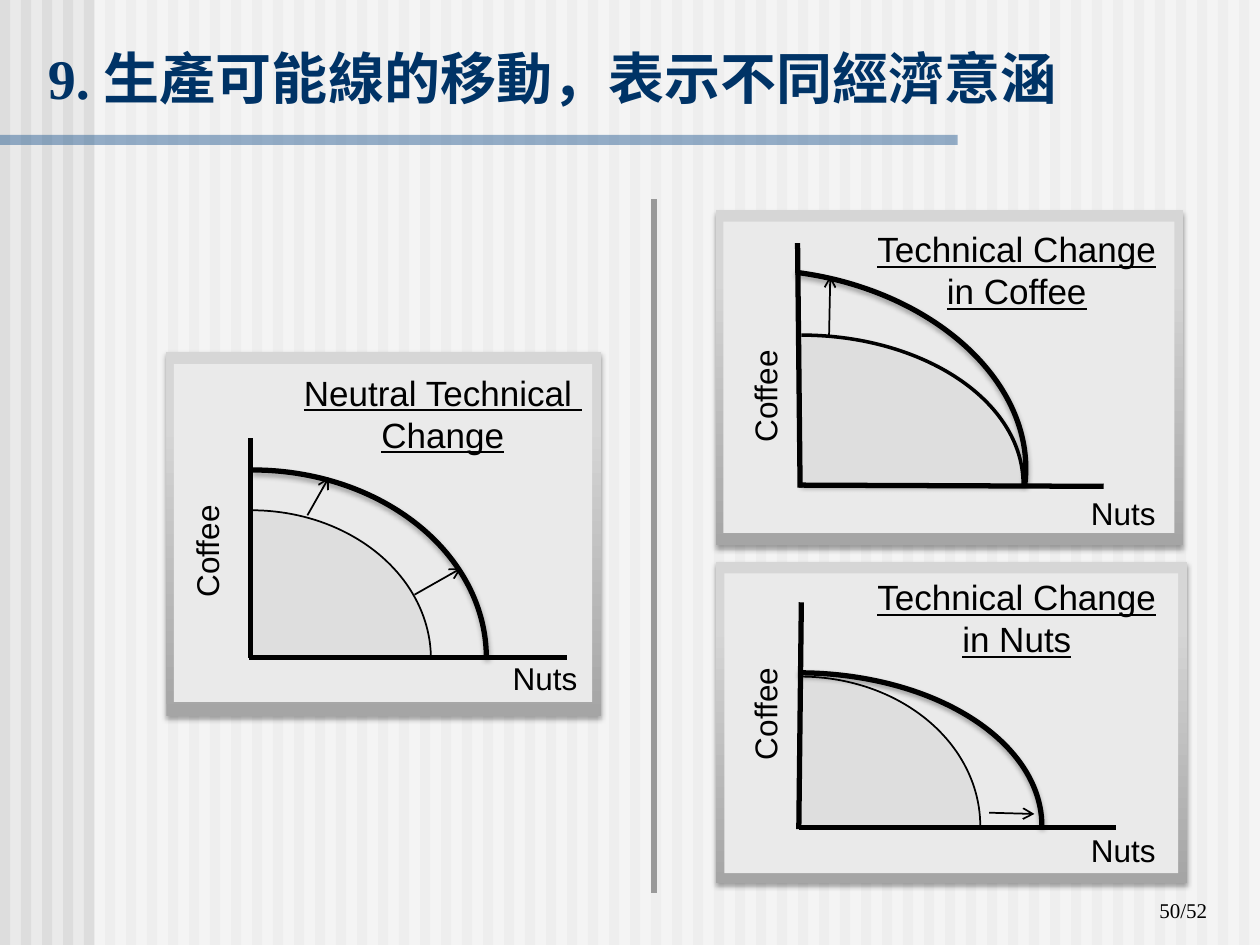
from lxml import etree
from pptx import Presentation
from pptx.dml.color import RGBColor
from pptx.enum.shapes import MSO_CONNECTOR, MSO_SHAPE
from pptx.enum.text import MSO_ANCHOR, MSO_AUTO_SIZE, PP_ALIGN
from pptx.oxml.ns import qn
from pptx.util import Inches, Pt

RECTANGLE, ARC = MSO_SHAPE.RECTANGLE, MSO_SHAPE.ARC
STRAIGHT = MSO_CONNECTOR.STRAIGHT
LEFT, CENTER, RIGHT = PP_ALIGN.LEFT, PP_ALIGN.CENTER, PP_ALIGN.RIGHT
TOP, BOTTOM = MSO_ANCHOR.TOP, MSO_ANCHOR.BOTTOM
GROW = MSO_AUTO_SIZE.SHAPE_TO_FIT_TEXT

THEME = {
    "background": "EAEAEA", "stripe": "DDDDDD", "veil": "FFFFFF",
    "rule": "336699", "title": "003366", "ink": "000000",
    "divider": "999999", "panel": "EAEAEA", "area": "DEDEDE",
    "frame": [(0, "A5A5A5"), (80, "D6D6D6"), (100, "D7D7D7")],
    "title_size": 32, "heading_size": 20, "label_size": 18, "page_size": 12,
    "serif": "Times New Roman", "sans": "Arial",
    "thick": 3, "thin": 1,
}

presentation = Presentation()
presentation.slide_width, presentation.slide_height = Inches(10), Inches(7.5)
COLUMN = presentation.slide_width / 100
ROW = presentation.slide_height / 75
GRID = (COLUMN, ROW, COLUMN, ROW)


def add_form(shapes, kind, box, fill=None, alpha=100, line=0, shadow=0, rotation=0):
    shape = shapes.add_shape(kind, *(round(n * unit) for n, unit in zip(box, GRID)))
    shape.rotation = rotation
    shape.shadow.inherit = False
    properties = shape._element.spPr
    if fill is None:
        shape.fill.background()
    elif isinstance(fill, list):
        shape.fill.gradient()
        shape.fill.gradient_angle = 90
        stops = properties.find(".//" + qn("a:gsLst"))
        for stop in list(stops):
            stops.remove(stop)
        for position, color in fill:
            stop = etree.SubElement(stops, qn("a:gs"), pos=str(position * 1000))
            etree.SubElement(stop, qn("a:srgbClr"), val=color)
    else:
        shape.fill.solid()
        shape.fill.fore_color.rgb = RGBColor.from_string(fill)
        if alpha < 100:
            color = properties.find(".//" + qn("a:srgbClr"))
            etree.SubElement(color, qn("a:alpha"), val=str(alpha * 1000))
    if line:
        shape.line.width = Pt(line)
        shape.line.color.rgb = RGBColor.from_string(THEME["ink"])
    else:
        shape.line.fill.background()
    if shadow:
        outer = etree.SubElement(
            properties.find(qn("a:effectLst")), qn("a:outerShdw"),
            blurRad=str(Pt(3.1)), dist=str(Pt(1.8)), dir="5400000", rotWithShape="0")
        color = etree.SubElement(outer, qn("a:srgbClr"), val=THEME["ink"])
        etree.SubElement(color, qn("a:alpha"), val=str(shadow * 1000))


def write(shape, box, lines, size, color="ink", font="sans", align=LEFT, anchor=TOP,
          wrap=True, bold=False, underline=False, rotation=0):
    shape.left, shape.top, shape.width, shape.height = (
        round(n * unit) for n, unit in zip(box, GRID))
    shape.rotation = rotation
    frame = shape.text_frame
    frame.word_wrap = wrap
    frame.auto_size = GROW
    frame.vertical_anchor = anchor
    paragraph = frame.paragraphs[0]
    paragraph.alignment = align
    for index, text in enumerate(lines):
        if index:
            paragraph.add_line_break()
        run = paragraph.add_run()
        run.text = text
        run.font.name = THEME[font]
        run.font.size = Pt(THEME[size])
        run.font.bold = bold
        run.font.underline = underline
        run.font.color.rgb = RGBColor.from_string(THEME[color])


slide = presentation.slides.add_slide(presentation.slide_layouts[5])
slide.background.fill.solid()
slide.background.fill.fore_color.rgb = RGBColor.from_string(THEME["background"])

backdrop = slide.shapes.add_group_shape().shapes
STRIPES = 60
for index in range(STRIPES):
    add_form(backdrop, RECTANGLE, (index * 100 / STRIPES, 0, 0.8, 75), THEME["stripe"])
add_form(backdrop, RECTANGLE, (7.5, 0, 92.5, 75), THEME["veil"], alpha=50)
add_form(backdrop, RECTANGLE, (0, 10.7, 76, 0.8), THEME["rule"], alpha=50)

title = slide.shapes.title
slide.shapes._spTree.append(title._element)
write(title, (2.8, 2.9, 85, 6.4), ["9. 生產可能線的移動，表示不同經濟意涵"], "title_size",
      "title", "serif", anchor=BOTTOM, bold=True)
write(slide.shapes.add_textbox(0, 0, 0, 0), (76, 68.7, 20.8, 5), ["50/52"], "page_size",
      font="serif", align=RIGHT, anchor=BOTTOM)

panels = [
    {
        "frame": (13.2, 27.9, 34.5, 28.9), "face": (13.8, 28.9, 33.2, 26.8),
        "inner": (5.7, 40.5, 28.5, 23.6), "inner_line": 1, "inner_shadow": 0,
        "outer": (1.5, 37.3, 37.1, 29.8), "tilt": 0,
        "heading": (23, 29, 24.3, 7.7), "lines": ["Neutral Technical ", "Change"],
        "wrap": False, "nuts": (39.7, 51.8, 7.4, 4), "coffee": (11.7, 41.7, 9.4, 4),
        "axes": [(19.8, 52.2, 45, 52.2), (19.9, 34.8, 19.9, 52.2)],
        "arrows": [(24.4, 40.9, 26.1, 37.9), (32.9, 47.2, 36.6, 45.1)],
    },
    {
        "frame": (56.8, 44.6, 37.4, 25.5), "face": (57.5, 45.5, 36, 23.8),
        "inner": (49.3, 53.7, 28.5, 23.7), "inner_line": 1, "inner_shadow": 0,
        "outer": (44.1, 53.4, 38.6, 24.3), "tilt": 0,
        "heading": (68.1, 45.2, 25.2, 7.7), "lines": ["Technical Change in Nuts"],
        "wrap": True, "nuts": (85.6, 65.5, 7.2, 4), "coffee": (56, 54.6, 9.4, 4),
        "axes": [(63.6, 47.8, 63.4, 65.8), (63.4, 65.7, 88.6, 65.7)],
        "arrows": [(78.5, 64.5, 82.1, 64.6)],
    },
    {
        "frame": (56.8, 16.7, 37.1, 26.6), "face": (57.4, 17.6, 35.8, 24.7),
        "inner": (46, 26.6, 35.2, 23.6), "inner_line": 2, "inner_shadow": 38,
        "outer": (41.2, 21.5, 40.3, 28.9), "tilt": 7.2,
        "heading": (68.1, 17.6, 25.2, 7.7), "lines": ["Technical Change in Coffee"],
        "wrap": True, "nuts": (85.6, 38.7, 7.2, 4), "coffee": (56, 29.4, 9.4, 4),
        "axes": [(63.3, 19.3, 63.5, 38.7), (63.4, 38.5, 87.6, 38.6)],
        "arrows": [(65.8, 26.6, 65.9, 21.9)],
    },
]

lines = [(slide.shapes, (51.9, 15.8, 51.9, 70.9), "divider", "thick", False)]
for panel in panels:
    shapes = slide.shapes.add_group_shape().shapes
    add_form(shapes, RECTANGLE, panel["frame"], THEME["frame"], shadow=35)
    add_form(shapes, RECTANGLE, panel["face"], THEME["panel"])
    add_form(shapes, ARC, panel["inner"], THEME["area"], line=panel["inner_line"],
             shadow=panel["inner_shadow"])
    add_form(shapes, ARC, panel["outer"], line=THEME["thick"], shadow=35,
             rotation=panel["tilt"])
    write(shapes.add_textbox(0, 0, 0, 0), panel["heading"], panel["lines"],
          "heading_size", align=CENTER, wrap=panel["wrap"], underline=True)
    write(shapes.add_textbox(0, 0, 0, 0), panel["nuts"], ["Nuts"], "label_size", wrap=False)
    write(shapes.add_textbox(0, 0, 0, 0), panel["coffee"], ["Coffee"], "label_size",
          wrap=False, rotation=270)
    lines += [(shapes, ends, "ink", "thin", True) for ends in panel["arrows"]]
    lines += [(shapes, ends, "ink", "thick", False) for ends in panel["axes"]]

for shapes, ends, color, weight, arrow in lines:
    connector = shapes.add_connector(
        STRAIGHT, *(round(n * unit) for n, unit in zip(ends, GRID)))
    connector.line.color.rgb = RGBColor.from_string(THEME[color])
    connector.line.width = Pt(THEME[weight])
    if arrow:
        etree.SubElement(connector.line._get_or_add_ln(), qn("a:tailEnd"), type="arrow")
    etree.SubElement(connector._element.spPr, qn("a:effectLst"))

presentation.save("out.pptx")
